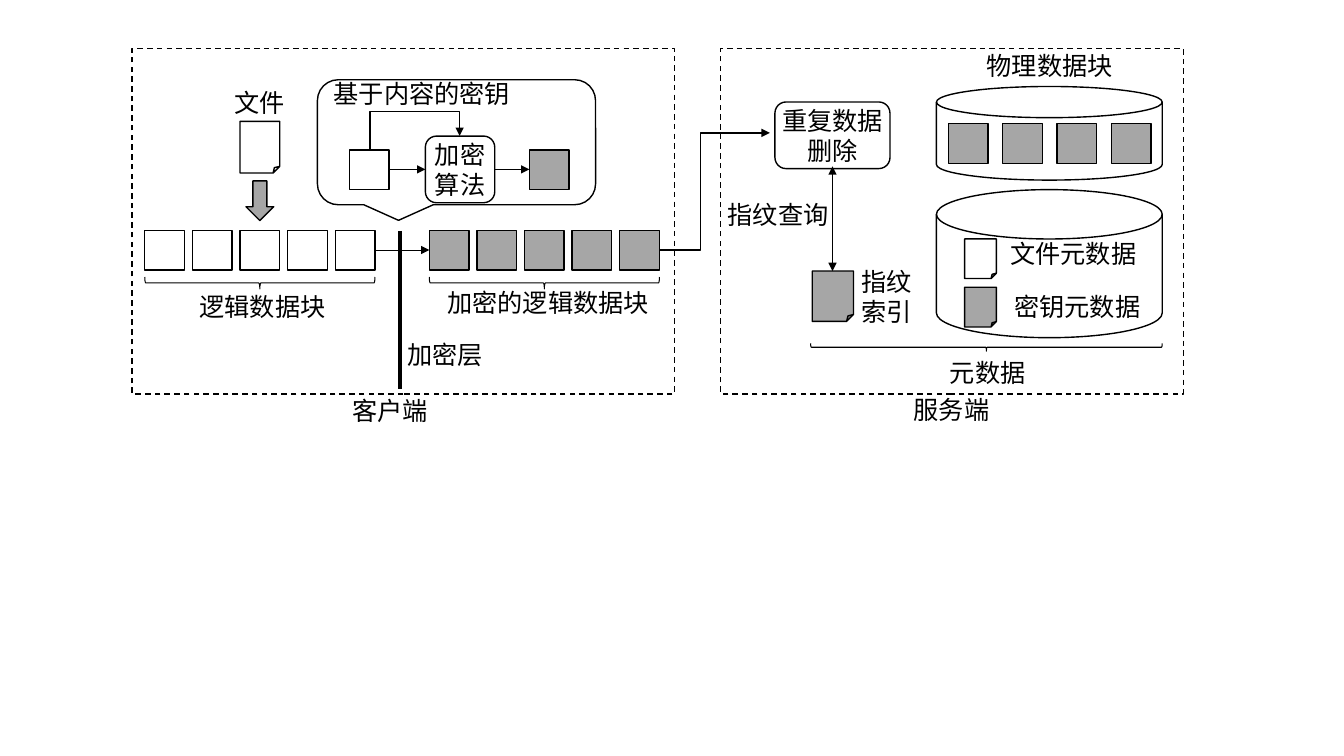
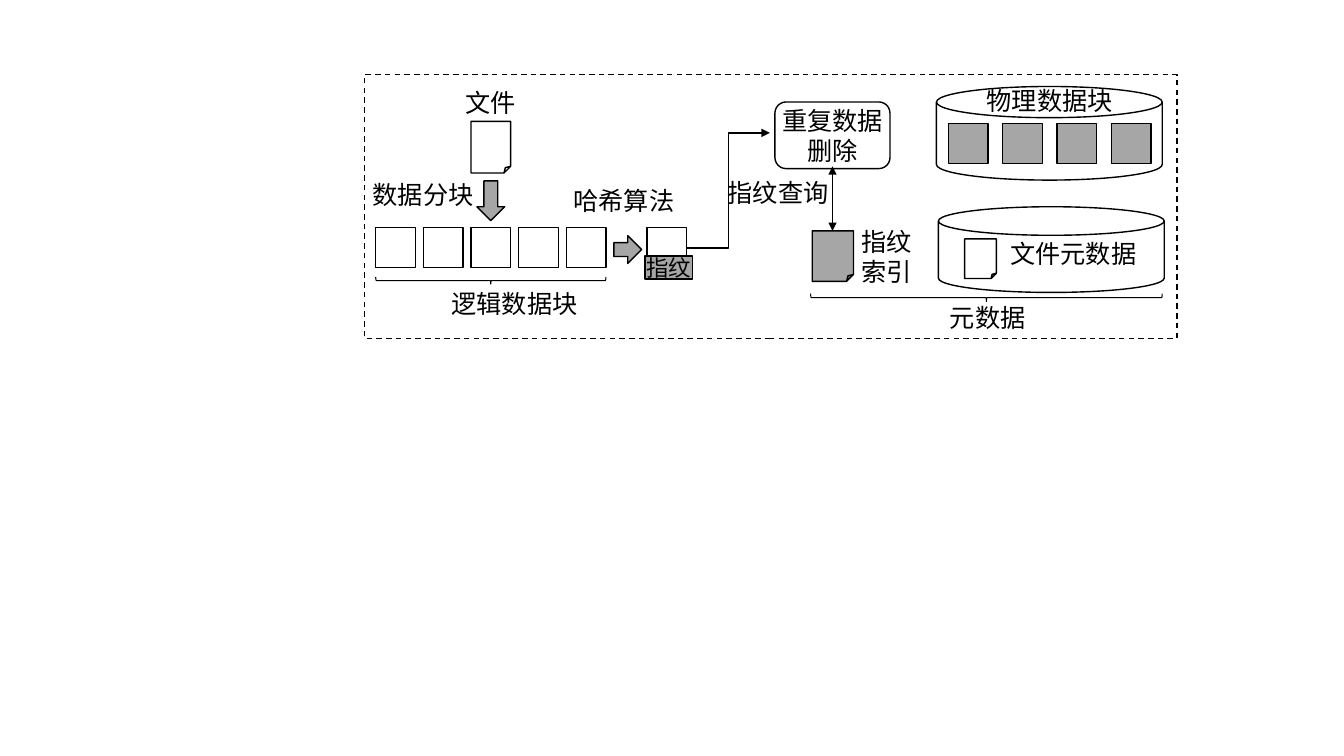
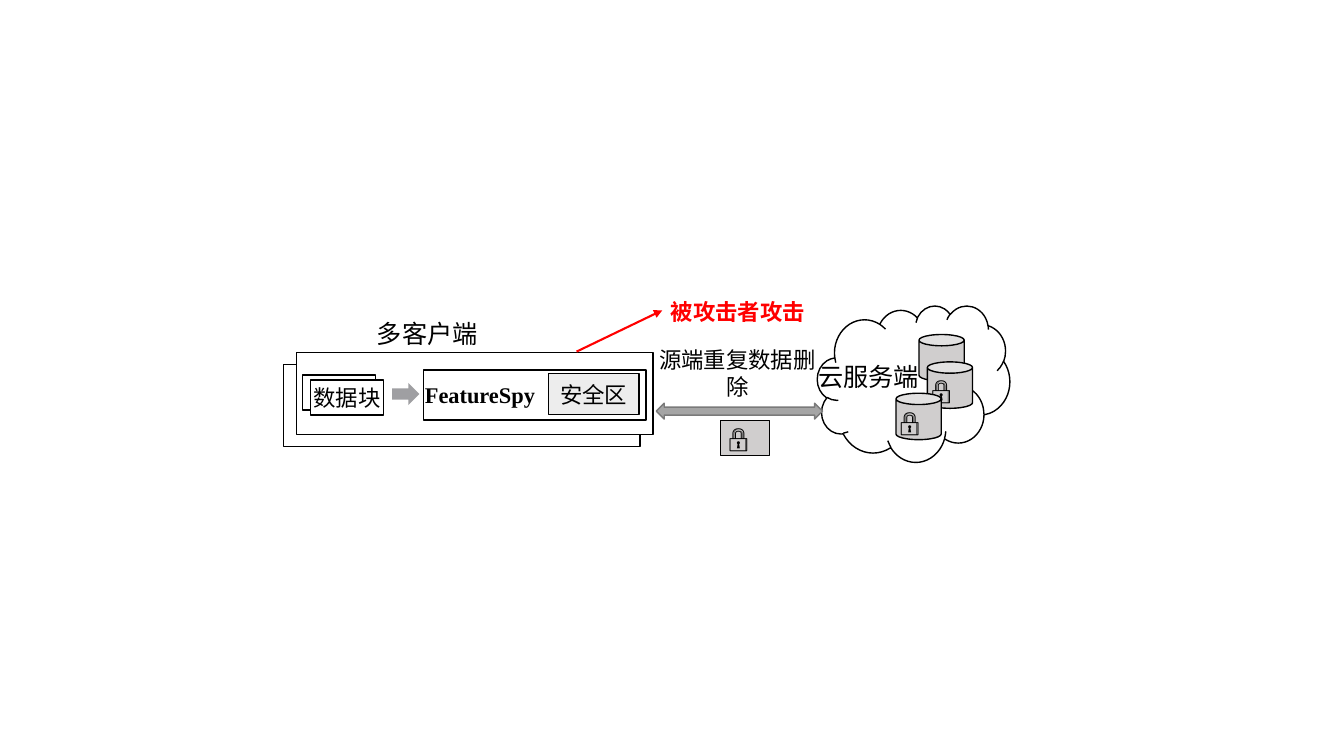
"""Builds three diagrams of encrypted deduplication storage."""
from lxml import etree
from pptx import Presentation
from pptx import util as u
from pptx.dml.color import RGBColor
from pptx.enum import dml, shapes, text
from pptx.oxml.ns import qn

BLACK = RGBColor(0x00, 0x00, 0x00)
WHITE = RGBColor(0xFF, 0xFF, 0xFF)
RED = RGBColor(0xFF, 0x00, 0x00)
GREY = RGBColor(0xA6, 0xA6, 0xA6)
ARROW_GREY = RGBColor(0x9F, 0x9F, 0xA2)
LINK_GREY = RGBColor(0xA5, 0xA5, 0xA5)
LINK_EDGE = RGBColor(0x7A, 0x7A, 0x7A)
STORE_GREY = RGBColor(0xD0, 0xCE, 0xCE)
PALE_GREY = RGBColor(0xED, 0xED, 0xED)

CJK = "Noto Sans CJK SC"
SERIF = "Times New Roman"
KIND = shapes.MSO_SHAPE
LEFT, CENTER = text.PP_ALIGN.LEFT, text.PP_ALIGN.CENTER

CHUNK = 1
CHUNK_PITCH = 1.2
ROW_COUNT = 5
ROW_WIDTH = (ROW_COUNT - 1) * CHUNK_PITCH + CHUNK
LABEL_HEIGHT = 1.04


def write(frame, words, size, font, color, bold, align):
    paragraph = frame.paragraphs[0]
    paragraph.alignment = align
    run = paragraph.add_run()
    run.text = words
    run.font.size = u.Pt(size)
    run.font.bold = bold
    run.font.color.rgb = color
    run.font.name = font
    etree.SubElement(run._r.get_or_add_rPr(), qn("a:ea"), typeface=CJK)


def label(slide, words, left, top, width, height=LABEL_HEIGHT, size=18,
          font=CJK, color=BLACK, bold=False, align=CENTER, wrap=True):
    box = slide.shapes.add_textbox(*map(u.Cm, (left, top, width, height)))
    box.text_frame.word_wrap = wrap
    write(box.text_frame, words, size, font, color, bold, align)


def figure(slide, kind, left, top, width, height, fill=None, edge=BLACK,
           weight=1, words=None, size=18, font=CJK):
    shape = slide.shapes.add_shape(kind, *map(u.Cm, (left, top, width, height)))
    shape.shadow.inherit = False
    if fill is None:
        shape.fill.background()
    else:
        shape.fill.solid()
        shape.fill.fore_color.rgb = fill
    if edge is None:
        shape.line.fill.background()
    else:
        shape.line.color.rgb = edge
        shape.line.width = u.Pt(weight)
    if words:
        frame = shape.text_frame
        frame.word_wrap = True
        frame.vertical_anchor = text.MSO_ANCHOR.MIDDLE
        frame.margin_left = frame.margin_right = 0
        frame.margin_top = frame.margin_bottom = 0
        write(frame, words, size, font, BLACK, False, CENTER)
    return shape


def chunk(slide, left, top, fill=None):
    figure(slide, KIND.RECTANGLE, left, top, CHUNK, CHUNK, fill)


def chunk_row(slide, left, top, count=ROW_COUNT, pitch=CHUNK_PITCH, fill=None):
    for index in range(count):
        chunk(slide, left + index * pitch, top, fill)


def page(slide, left, top, width, height, fill=None):
    figure(slide, KIND.FOLDED_CORNER, left, top, width, height, fill)


def dashed_frame(slide, left, top, width, height):
    frame = figure(slide, KIND.RECTANGLE, left, top, width, height)
    frame.line.dash_style = dml.MSO_LINE.DASH


def brace_below(slide, left, top, width, height):
    brace = figure(slide, KIND.LEFT_BRACE, left + (width - height) / 2,
                   top + (height - width) / 2, height, width, weight=0.75)
    brace.rotation = 270


def link(slide, start, end, weight=0.75, color=BLACK, head=False, tail=True,
         bend=None, turn=0):
    kind = shapes.MSO_CONNECTOR.STRAIGHT if bend is None else shapes.MSO_CONNECTOR.ELBOW
    connector = slide.shapes.add_connector(kind, *map(u.Cm, (*start, *end)))
    connector.line.color.rgb = color
    connector.line.width = u.Pt(weight)
    properties = connector.element.spPr
    line = properties.find(qn("a:ln"))
    for wanted, tag in ((head, "a:headEnd"), (tail, "a:tailEnd")):
        if wanted:
            etree.SubElement(line, qn(tag), type="triangle")
    etree.SubElement(properties, qn("a:effectLst"))
    if bend is not None:
        guides = properties.find(qn("a:prstGeom")).find(qn("a:avLst"))
        etree.SubElement(guides, qn("a:gd"), name="adj1",
                         fmla=f"val {round(bend * 100000)}")
    if turn:
        properties.find(qn("a:xfrm")).set("rot", str(turn * 60000))


def file_chunking(slide, left, row_top, brace_height, label_left):
    label(slide, "文件", left + 1.86, 2.07, 2.06)
    page(slide, left + 2.4, 3.06, 1, 1.3)
    figure(slide, KIND.DOWN_ARROW, left + 2.55, 4.56, 0.7, 1, GREY)
    chunk_row(slide, left, row_top)
    brace_below(slide, left, 6.98, ROW_WIDTH, brace_height)
    label(slide, "逻辑数据块", label_left, row_top + 1.4, 3.73)


def server(slide, physical_top, disk, index_top, query_top, brace_top, meta_top):
    figure(slide, KIND.ROUNDED_RECTANGLE, 19.53, 2.57, 2.9, 1.68,
           words="重复数据删除")
    figure(slide, KIND.FLOWCHART_MAGNETIC_DISK, 23.6, 2.18, 5.69, 2.36)
    label(slide, "物理数据块", 23.9, physical_top, 5.11)
    chunk_row(slide, 23.9, 3.12, count=4, pitch=1.37, fill=GREY)
    figure(slide, KIND.FLOWCHART_MAGNETIC_DISK, *disk)
    page(slide, 24.31, 6.02, 0.8, 1)
    label(slide, "文件元数据", 25.12, 5.89, 3.86)
    page(slide, 20.47, index_top, 1.04, 1.27, GREY)
    label(slide, "指纹索引", 21.39, index_top - 0.25, 1.9, 1.68)
    link(slide, (20.98, 4.19), (20.98, index_top), head=True)
    label(slide, "指纹查询", 17.83, query_top, 3.56)
    brace_below(slide, 20.43, brace_top, 8.86, 0.2)
    label(slide, "元数据", 23.67, meta_top, 2.44)


def encryption_callout(slide):
    figure(slide, KIND.ROUNDED_RECTANGULAR_CALLOUT, 8, 2.01, 7.01, 3.15)
    label(slide, "基于内容的密钥", 8.08, 1.85, 5.11)
    chunk(slide, 8.81, 3.78)
    chunk(slide, 13.34, 3.78, GREY)
    figure(slide, KIND.ROUNDED_RECTANGLE, 10.72, 3.43, 1.75, 1.68,
           words="加密算法")
    for start, end in ((9.83, 10.72), (12.45, 13.34)):
        link(slide, (start, 4.27), (end, 4.27))
    link(slide, (10.62, 4.72), (10.29, 2.46), bend=2.85, turn=90)


def encrypted_deduplication(slide):
    file_chunking(slide, 3.65, 5.81, 0.3, 4.75)
    encryption_callout(slide)
    dashed_frame(slide, 3.33, 1.22, 13.67, 8.71)
    label(slide, "客户端", 8.61, 9.83, 2.44)
    link(slide, (10.08, 5.82), (10.08, 9.8), weight=3, tail=False)
    label(slide, "加密层", 9.83, 8.43, 2.79)
    link(slide, (9.45, 6.3), (10.82, 6.3))
    chunk_row(slide, 10.82, 5.81, fill=GREY)
    brace_below(slide, 10.82, 6.98, ROW_WIDTH, 0.3)
    label(slide, "加密的逻辑数据块", 10.97, 7.11, 5.69)
    server(slide, physical_top=1.14, disk=(23.6, 4.78, 5.69, 3.73),
           index_top=6.83, query_top=4.9, brace_top=8.65, meta_top=8.89)
    page(slide, 24.31, 7.24, 0.8, 1, GREY)
    label(slide, "密钥元数据", 25.22, 7.21, 3.86)
    dashed_frame(slide, 18.16, 1.22, 11.66, 8.71)
    label(slide, "服务端", 22.76, 9.8, 2.44)
    link(slide, (16.63, 6.3), (19.4, 3.35), weight=1, bend=0.37)


def plain_deduplication(slide):
    file_chunking(slide, 9.47, 5.74, 0.18, 11.1)
    label(slide, "数据分块", 9.04, 4.39, 3.25)
    dashed_frame(slide, 9.19, 1.88, 20.47, 6.65)
    label(slide, "哈希算法", 14.1, 4.55, 3.25)
    figure(slide, KIND.RIGHT_ARROW, 15.47, 5.94, 0.7, 0.7, GREY)
    chunk(slide, 16.31, 5.74)
    figure(slide, KIND.RECTANGLE, 16.26, 6.45, 1.19, 0.58, GREY,
           words="指纹", size=16)
    server(slide, physical_top=2.03, disk=(23.65, 5.21, 5.69, 2.16),
           index_top=5.82, query_top=4.34, brace_top=7.4, meta_top=7.49)
    link(slide, (17.32, 6.25), (19.4, 3.35), weight=1, bend=0.5)


def lock(slide, left, top):
    label(slide, "🔒", left, top, 1.4, font=SERIF, align=LEFT, wrap=False)


def store(slide, left, top, locked=True):
    figure(slide, KIND.CAN, left, top, 1.14, 1.17, STORE_GREY)
    if locked:
        lock(slide, left - 0.15, top + 0.2)


def attack_scene(slide):
    for left, top in ((7.14, 9.19), (7.47, 8.89)):
        figure(slide, KIND.RECTANGLE, left, top, 8.99, 2.06, WHITE)
    label(slide, "多客户端", 9.25, 7.9, 3.07, font=SERIF, align=LEFT, wrap=False)
    figure(slide, KIND.RECTANGLE, 7.62, 9.45, 1.85, 0.88, WHITE)
    figure(slide, KIND.RECTANGLE, 7.82, 9.58, 1.85, 0.88, WHITE,
           words="数据块", size=16, font=SERIF)
    figure(slide, KIND.RIGHT_ARROW, 9.88, 9.65, 0.69, 0.56, ARROW_GREY, None)
    figure(slide, KIND.RECTANGLE, 10.67, 9.32, 5.61, 1.27, WHITE)
    label(slide, "FeatureSpy", 10.46, 9.47, 3.4, 0.94, size=16, font=SERIF,
          bold=True, align=LEFT, wrap=False)
    figure(slide, KIND.RECTANGLE, 13.82, 9.42, 2.29, 1.02, PALE_GREY,
           words="安全区", size=16, font=SERIF)
    figure(slide, KIND.CLOUD, 20.6, 7.7, 4.85, 3.94, WHITE)
    figure(slide, KIND.LEFT_RIGHT_ARROW, 16.54, 10.16, 4.19, 0.4,
           LINK_GREY, LINK_EDGE)
    label(slide, "源端重复数据删除", 16.36, 8.61, 4.45, 1.63, size=16, font=SERIF)
    figure(slide, KIND.RECTANGLE, 18.16, 10.59, 1.24, 0.89, STORE_GREY)
    lock(slide, 18.11, 10.52)
    store(slide, 23.16, 8.43, locked=False)
    label(slide, "云服务端", 20.37, 8.99, 3.07, font=SERIF, align=LEFT, wrap=False)
    store(slide, 23.37, 9.12)
    store(slide, 22.58, 9.91)
    link(slide, (14.53, 8.86), (16.69, 7.82), weight=1.5, color=RED)
    label(slide, "被攻击者攻击", 15.24, 7.39, 6.71, 0.94, size=16, font=SERIF,
          color=RED, bold=True)


def main():
    deck = Presentation()
    deck.slide_width = u.Cm(33.87)
    deck.slide_height = u.Cm(19.05)
    blank = deck.slide_layouts[6]
    for draw in (encrypted_deduplication, plain_deduplication, attack_scene):
        draw(deck.slides.add_slide(blank))
    deck.save("out.pptx")


if __name__ == "__main__":
    main()
